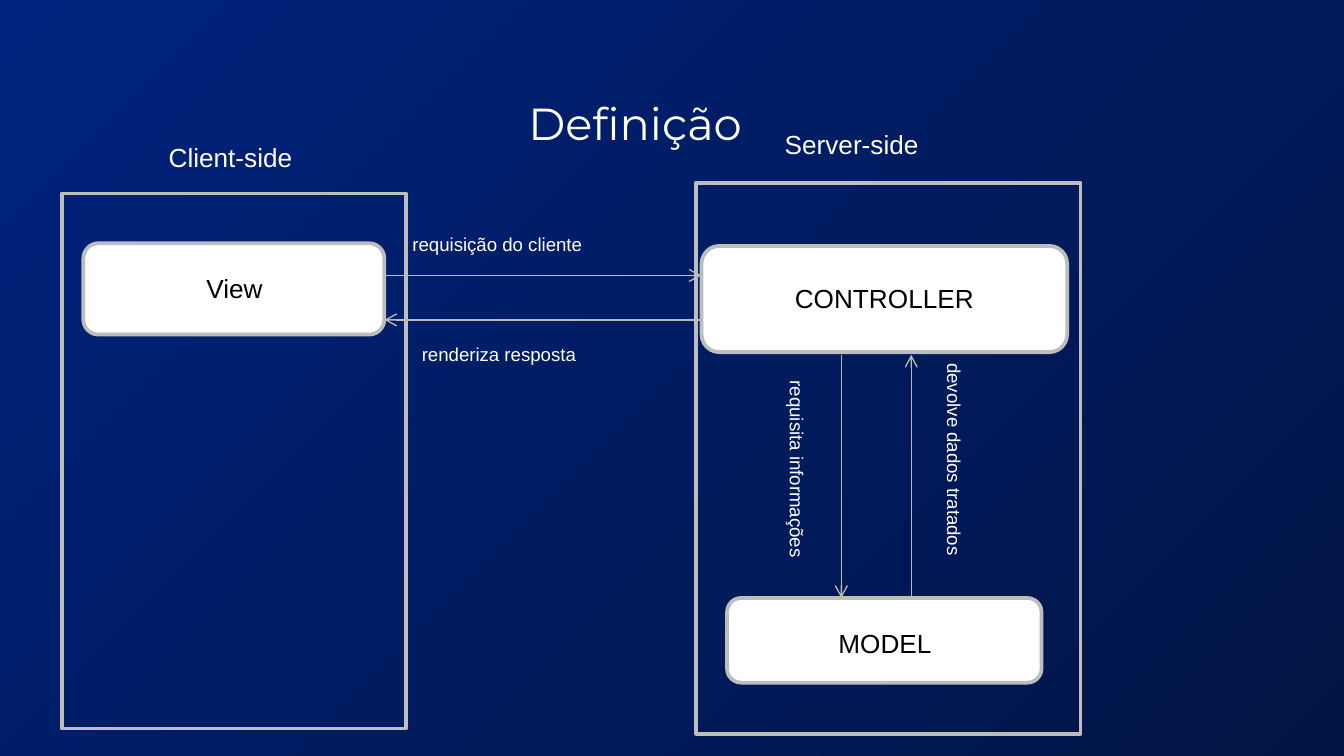
from lxml import etree
from pptx import Presentation
from pptx.dml.color import RGBColor
from pptx.enum.shapes import MSO_CONNECTOR, MSO_SHAPE
from pptx.enum.text import MSO_ANCHOR, MSO_AUTO_SIZE, PP_ALIGN
from pptx.oxml.ns import qn
from pptx.util import Inches, Pt

RECTANGLE = MSO_SHAPE.RECTANGLE
ROUNDED = MSO_SHAPE.FLOWCHART_ALTERNATE_PROCESS
STRAIGHT = MSO_CONNECTOR.STRAIGHT
LEFT, CENTER = PP_ALIGN.LEFT, PP_ALIGN.CENTER
MIDDLE = MSO_ANCHOR.MIDDLE
GROW, FIXED = MSO_AUTO_SIZE.SHAPE_TO_FIT_TEXT, MSO_AUTO_SIZE.NONE

WIDTH = 10
HEIGHT = WIDTH * 9 / 16
WHITE, BLACK = "FFFFFF", "000000"
BORDER, ARROW = "BDBDBD", "B9B9B9"
GRADIENT = ("00237D", "011445")


def color(value):
    return RGBColor.from_string(value)


class DiagramSlide:
    """Holds the diagram style and draws its elements on one slide."""

    def __init__(self, slide, font="Arial"):
        self.slide = slide
        self.font = font

    def background(self, colors):
        fill = self.slide.background.fill
        fill.gradient()
        for stop, value in zip(fill.gradient_stops, colors):
            stop.color.rgb = color(value)
        gradient = next(self.slide.element.iter(qn("a:gradFill")))
        gradient.remove(gradient.find(qn("a:lin")))
        etree.SubElement(gradient, qn("a:path"), path="circle")

    def box(self, kind, area, fill=None):
        shape = self.slide.shapes.add_shape(kind, *map(Inches, area))
        shape.shadow.inherit = False
        if fill:
            shape.fill.solid()
            shape.fill.fore_color.rgb = color(fill)
        else:
            shape.fill.background()
        shape.line.color.rgb = color(BORDER)
        shape.line.width = Pt(2)

    def text(self, text, area, size=14, ink=WHITE, align=CENTER, font=None, rotation=0):
        shape = self.slide.shapes.add_textbox(*map(Inches, area))
        shape.rotation = rotation
        frame = shape.text_frame
        frame.word_wrap = True
        frame.auto_size = GROW
        paragraph = frame.paragraphs[0]
        paragraph.text = text
        paragraph.alignment = align
        paragraph.font.name = font or self.font
        paragraph.font.size = Pt(size)
        paragraph.font.color.rgb = color(ink)
        return shape

    def title(self, text, area):
        frame = self.text(text, area, size=24, font="Montserrat").text_frame
        frame.auto_size = FIXED
        frame.vertical_anchor = MIDDLE
        frame.margin_top = frame.margin_bottom = Inches(0.1)

    def arrow(self, start, end):
        connector = self.slide.shapes.add_connector(STRAIGHT, *map(Inches, start + end))
        connector.line.color.rgb = color(ARROW)
        connector.line.width = Pt(0.75)
        properties = connector.element.spPr
        etree.SubElement(properties.find(qn("a:ln")), qn("a:tailEnd"), type="arrow")
        etree.SubElement(properties, qn("a:effectLst"))


def main():
    presentation = Presentation()
    presentation.slide_width, presentation.slide_height = Inches(WIDTH), Inches(HEIGHT)
    slide = presentation.slides.add_slide(presentation.slide_layouts[6])
    diagram = DiagramSlide(slide)
    diagram.background(GRADIENT)

    diagram.box(RECTANGLE, (0.46, 1.44, 2.56, 3.98))
    diagram.title("Definição", (3.19, 0.5, 3.07, 0.83))

    components = [
        ("View", (0.62, 1.81, 2.24, 0.68), (0.76, 1.98, 1.97, 0.33)),
        ("MODEL", (5.41, 4.45, 2.34, 0.63), (5.61, 4.62, 1.95, 0.33)),
        ("CONTROLLER", (5.22, 1.83, 2.72, 0.79), (5.44, 2.05, 2.28, 0.33)),
    ]
    for name, box_area, text_area in components:
        diagram.box(ROUNDED, box_area, WHITE)
        diagram.text(name, text_area, ink=BLACK)

    arrows = [
        ((2.86, 2.05), (5.22, 2.05)),
        ((5.22, 2.38), (2.86, 2.38)),
        ((6.26, 2.64), (6.26, 4.45)),
        ((6.78, 4.46), (6.78, 2.64)),
    ]
    for start, end in arrows:
        diagram.arrow(start, end)

    messages = [
        ("requisição do cliente", (2.97, 1.68, 2.11, 0.27), 0),
        ("renderiza resposta", (3.04, 2.5, 1.76, 0.27), 0),
        ("requisita informações", (5.16, 3.37, 1.54, 0.27), 90),
        ("devolve dados tratados", (6.16, 3.41, 1.88, 0.27), 90),
    ]
    for message, area, rotation in messages:
        diagram.text(message, area, size=10, align=LEFT, rotation=rotation)

    diagram.text("Client-side", (0.57, 1, 2.29, 0.33))
    diagram.box(RECTANGLE, (5.18, 1.36, 2.86, 4.1))
    diagram.text("Server-side", (5.74, 0.91, 2.01, 0.33), align=LEFT)

    presentation.save("out.pptx")


if __name__ == "__main__":
    main()
